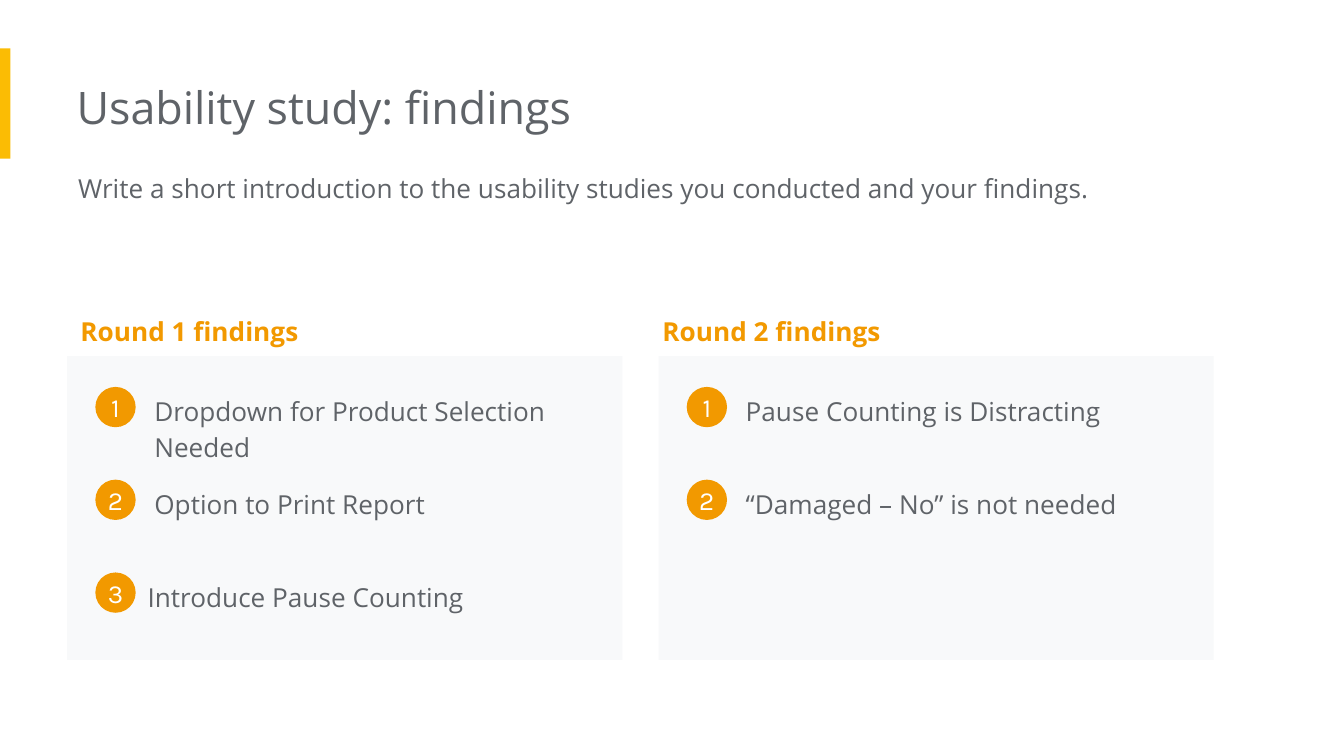
from dataclasses import dataclass

from pptx import Presentation
from pptx.dml.color import RGBColor
from pptx.enum import shapes, text
from pptx.util import Pt

GREY, ORANGE, YELLOW, PANEL, WHITE = "5F6368", "F29900", "FBBC04", "F8F9FA", "FFFFFF"
PANEL_TOP, PANEL_W, PANEL_H = 190.8, 297.4, 162.7
BADGE_SIZE, ROW_PITCH = 21.6, 49.7
BODY = {"size": Pt(14), "name": "Open Sans", "bold": False}
HEADING = {**BODY, "bold": True}
TITLE = {**BODY, "size": Pt(24)}
NUMBER = {**BODY, "name": "Karla"}


@dataclass
class Finding:
    text: str
    indent: float = 39.6
    height: float = 33.8


@dataclass
class StudyRound:
    heading: str
    left: float
    heading_left: float
    findings: list[Finding]


ROUNDS = [
    StudyRound("Round 1 findings", 36, 36, [
        Finding("Dropdown for Product Selection Needed", height=53.3),
        Finding("Option to Print Report"),
        Finding("Introduce Pause Counting", indent=36),
    ]),
    StudyRound("Round 2 findings", 352.8, 347.8, [
        Finding("Pause Counting is Distracting"),
        Finding("“Damaged – No” is not needed"),
    ]),
]


def rgb(color: str) -> RGBColor:
    return RGBColor.from_string(color)


def write(sp, words: str, fmt: dict, color: str, inset: float = 7.2,
          left_inset: float = 7.2, spacing: float = 1.15,
          align=text.PP_ALIGN.LEFT, anchor=text.MSO_ANCHOR.TOP,
          auto_size=text.MSO_AUTO_SIZE.SHAPE_TO_FIT_TEXT) -> None:
    """Fill a shape's text frame with one formatted paragraph."""
    tf = sp.text_frame
    frame = {"word_wrap": True, "auto_size": auto_size, "vertical_anchor": anchor,
             "margin_left": Pt(left_inset), "margin_top": Pt(inset),
             "margin_right": Pt(inset), "margin_bottom": Pt(inset)}
    for name, value in frame.items():
        setattr(tf, name, value)
    p = tf.paragraphs[0]
    p.alignment, p.line_spacing = align, spacing
    r = p.add_run()
    r.text = words
    for name, value in fmt.items():
        setattr(r.font, name, value)
    r.font.color.rgb = rgb(color)


def add_text(s, box: tuple, words: str, fmt: dict, color: str, **options) -> None:
    write(s.shapes.add_textbox(*map(Pt, box)), words, fmt, color, **options)


def add_filled(s, kind, box: tuple, color: str):
    sp = s.shapes.add_shape(kind, *map(Pt, box))
    sp.shadow.inherit = False
    sp.fill.solid()
    sp.fill.fore_color.rgb = rgb(color)
    sp.line.fill.background()
    return sp


def add_badge(s, left: float, top: float, number: int) -> None:
    sp = add_filled(s, shapes.MSO_SHAPE.OVAL, (left, top, BADGE_SIZE, BADGE_SIZE), ORANGE)
    write(sp, str(number), NUMBER, WHITE, inset=0, left_inset=0, spacing=1.0,
          align=text.PP_ALIGN.CENTER, anchor=text.MSO_ANCHOR.MIDDLE,
          auto_size=text.MSO_AUTO_SIZE.NONE)


def add_round(s, study: StudyRound) -> None:
    add_text(s, (study.heading_left, 159.1, 262.8, 31.7), study.heading, HEADING, ORANGE)
    add_filled(s, shapes.MSO_SHAPE.RECTANGLE,
               (study.left, PANEL_TOP, PANEL_W, PANEL_H), PANEL)
    for i, finding in enumerate(study.findings):
        top = PANEL_TOP + 11.5 + i * ROW_PITCH
        add_text(s, (study.left + finding.indent, top, 262.8, finding.height),
                 finding.text, BODY, GREY)
        add_badge(s, study.left + 15.1, top + 5, i + 1)


def main() -> None:
    prs = Presentation()
    prs.slide_width, prs.slide_height = Pt(720), Pt(405)
    s = prs.slides.add_slide(prs.slide_layouts[5])
    add_filled(s, shapes.MSO_SHAPE.RECTANGLE, (0, 25.9, 5.6, 59.2), YELLOW)
    title = s.shapes.title
    title.left, title.top, title.width, title.height = map(Pt, (41, 35.3, 484.6, 43.9))
    write(title, "Usability study: findings", TITLE, GREY, left_inset=0, spacing=1.0)
    add_text(s, (41.8, 82.8, 619.9, 51.1),
             "Write a short introduction to the usability studies you conducted "
             "and your findings.", BODY, GREY, left_inset=0)
    for study in ROUNDS:
        add_round(s, study)
    prs.save("out.pptx")


if __name__ == "__main__":
    main()
